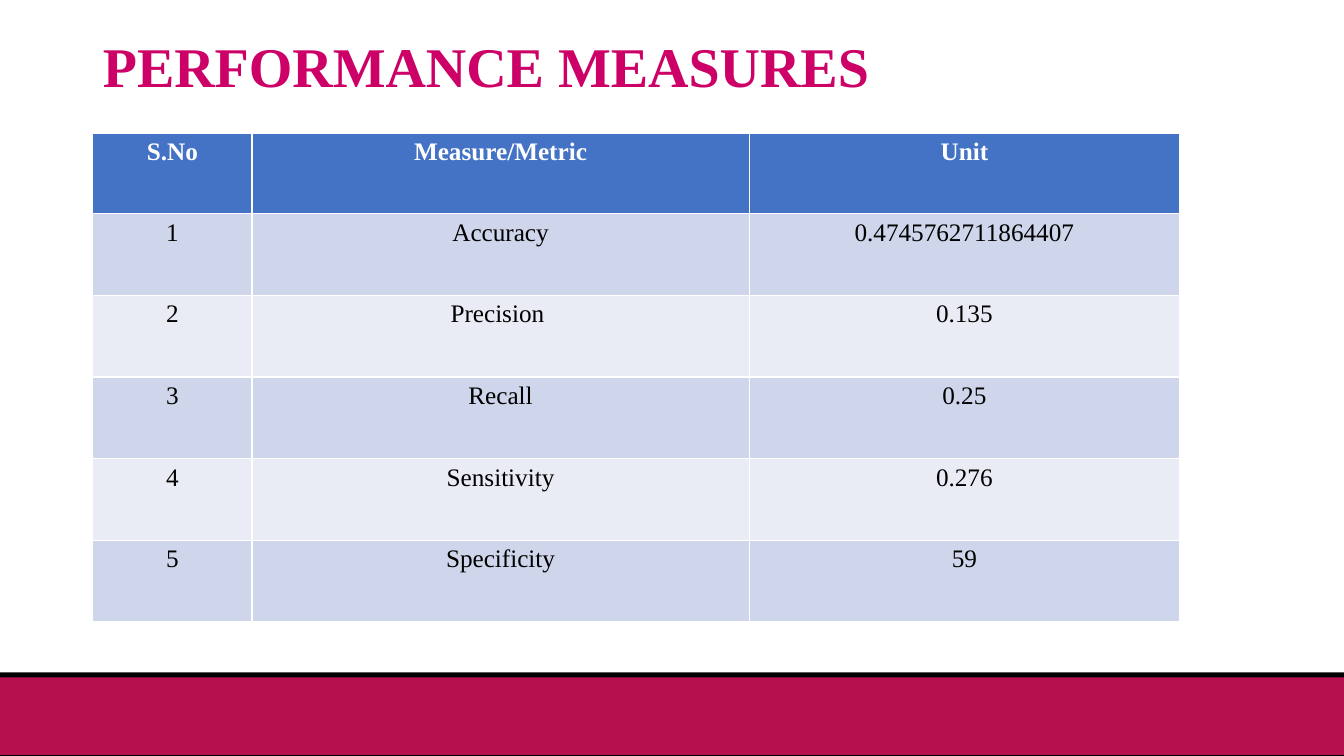
from dataclasses import dataclass

from pptx import Presentation
from pptx.dml.color import RGBColor
from pptx.enum.text import MSO_ANCHOR, MSO_AUTO_SIZE, PP_ALIGN
from pptx.enum.shapes import MSO_SHAPE
from pptx.slide import Slide
from pptx.text.text import _Paragraph
from pptx.util import Inches, Pt

COLORS = {
    "title": "CC0066",
    "edge": "000000",
    "footer": "B6114D",
    "header": "4472C4",
    "odd": "CFD5EA",
    "even": "E9EBF5",
    "light": "FFFFFF",
    "dark": "000000",
}
FONT = "Times New Roman"
COL_WIDTHS = [1.58, 4.93, 4.27]
HEADER_HEIGHT, ROW_HEIGHT = 0.8, 0.81


@dataclass
class Band:
    top: float
    height: float
    color: str


@dataclass
class Measure:
    name: str
    unit: str


BANDS = [Band(6.67, 0.84, "edge"), Band(6.72, 0.77, "footer")]
MEASURES = [
    Measure("Accuracy", "0.4745762711864407"),
    Measure("Precision ", "0.135"),
    Measure("Recall", "0.25"),
    Measure("Sensitivity", "0.276"),
    Measure("Specificity", "59"),
]


def rgb(name: str) -> RGBColor:
    return RGBColor.from_string(COLORS[name])


def write(p: _Paragraph, text: str, size: int, color: str, bold: bool, align: PP_ALIGN) -> None:
    r = p.add_run()
    r.text = text
    p.alignment = align
    for key, value in {"name": FONT, "size": Pt(size), "bold": bold}.items():
        setattr(r.font, key, value)
    r.font.color.rgb = rgb(color)


def draw_band(s: Slide, band: Band) -> None:
    sp = s.shapes.add_shape(
        MSO_SHAPE.RECTANGLE, 0, Inches(band.top), Inches(13.33), Inches(band.height)
    )
    sp.shadow.inherit = False
    sp.fill.solid()
    sp.fill.fore_color.rgb = rgb(band.color)
    sp.line.fill.background()


def draw_title(s: Slide, text: str) -> None:
    sp = s.shapes.title
    place = {"left": 0.92, "top": 0.4, "width": 11.5, "height": 0.58}
    for key, value in place.items():
        setattr(sp, key, Inches(value))
    tf = sp.text_frame
    frame = {
        "vertical_anchor": MSO_ANCHOR.MIDDLE,
        "auto_size": MSO_AUTO_SIZE.NONE,
        "word_wrap": True,
    }
    for key, value in frame.items():
        setattr(tf, key, value)
    p = tf.paragraphs[0]
    p.line_spacing = 0.9
    write(p, text, 40, "title", True, PP_ALIGN.LEFT)


def draw_table(s: Slide, measures: list[Measure]) -> None:
    rows = [["S.No", "Measure/Metric", "Unit"]]
    rows += [[str(n), m.name, m.unit] for n, m in enumerate(measures, 1)]
    height = HEADER_HEIGHT + ROW_HEIGHT * len(measures)
    table = s.shapes.add_table(
        len(rows), len(COL_WIDTHS), Inches(0.92), Inches(1.32),
        Inches(sum(COL_WIDTHS)), Inches(height),
    ).table
    for col, width in zip(table.columns, COL_WIDTHS):
        col.width = Inches(width)
    for i, values in enumerate(rows):
        header = i == 0
        table.rows[i].height = Inches(HEADER_HEIGHT if header else ROW_HEIGHT)
        fill = "header" if header else "odd" if i % 2 else "even"
        for j, value in enumerate(values):
            cell = table.cell(i, j)
            cell.fill.solid()
            cell.fill.fore_color.rgb = rgb(fill)
            write(cell.text_frame.paragraphs[0], value, 18,
                  "light" if header else "dark", header, PP_ALIGN.CENTER)


def main() -> None:
    prs = Presentation()
    prs.slide_width, prs.slide_height = Inches(13.33), Inches(7.5)
    s = prs.slides.add_slide(prs.slide_layouts[5])
    for band in BANDS:
        draw_band(s, band)
    draw_title(s, "PERFORMANCE MEASURES")
    draw_table(s, MEASURES)
    prs.save("out.pptx")


if __name__ == "__main__":
    main()
